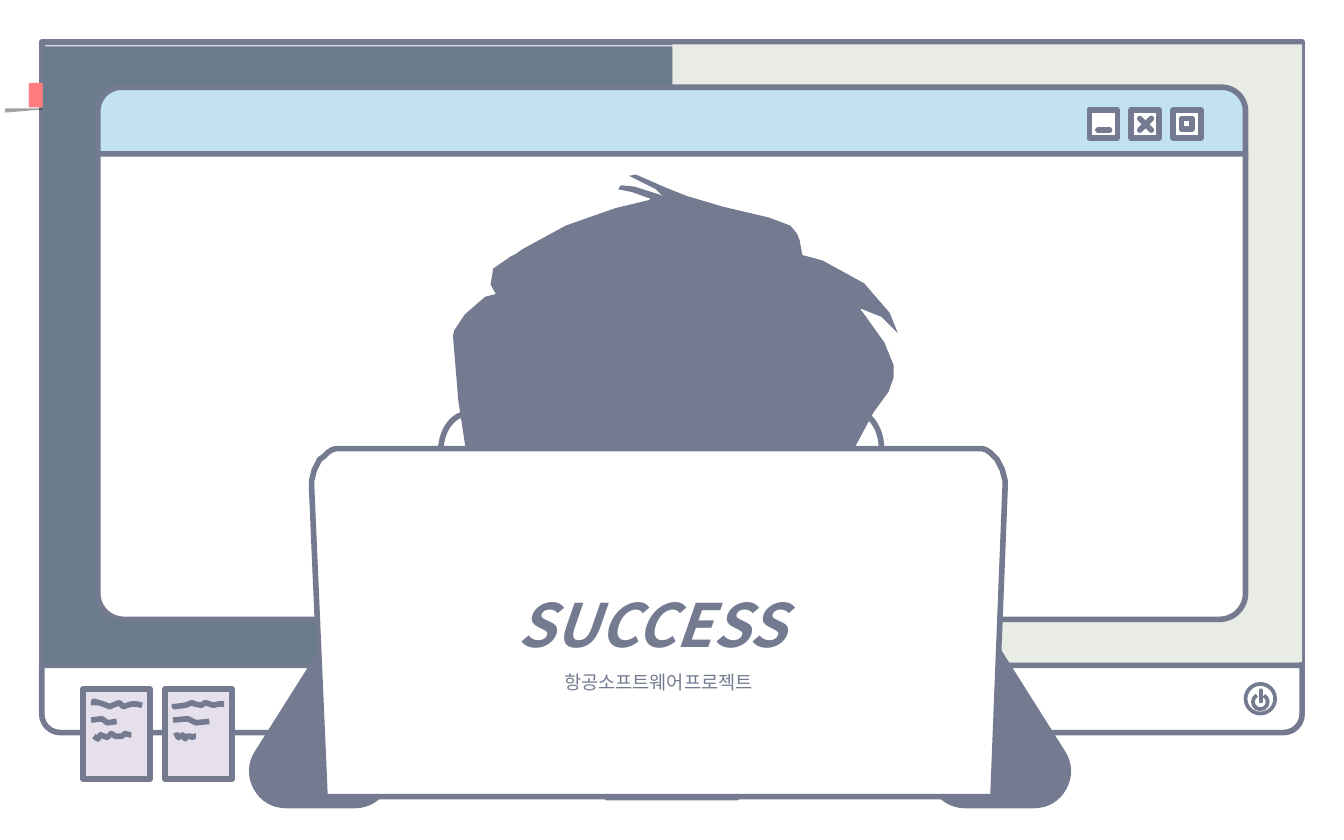
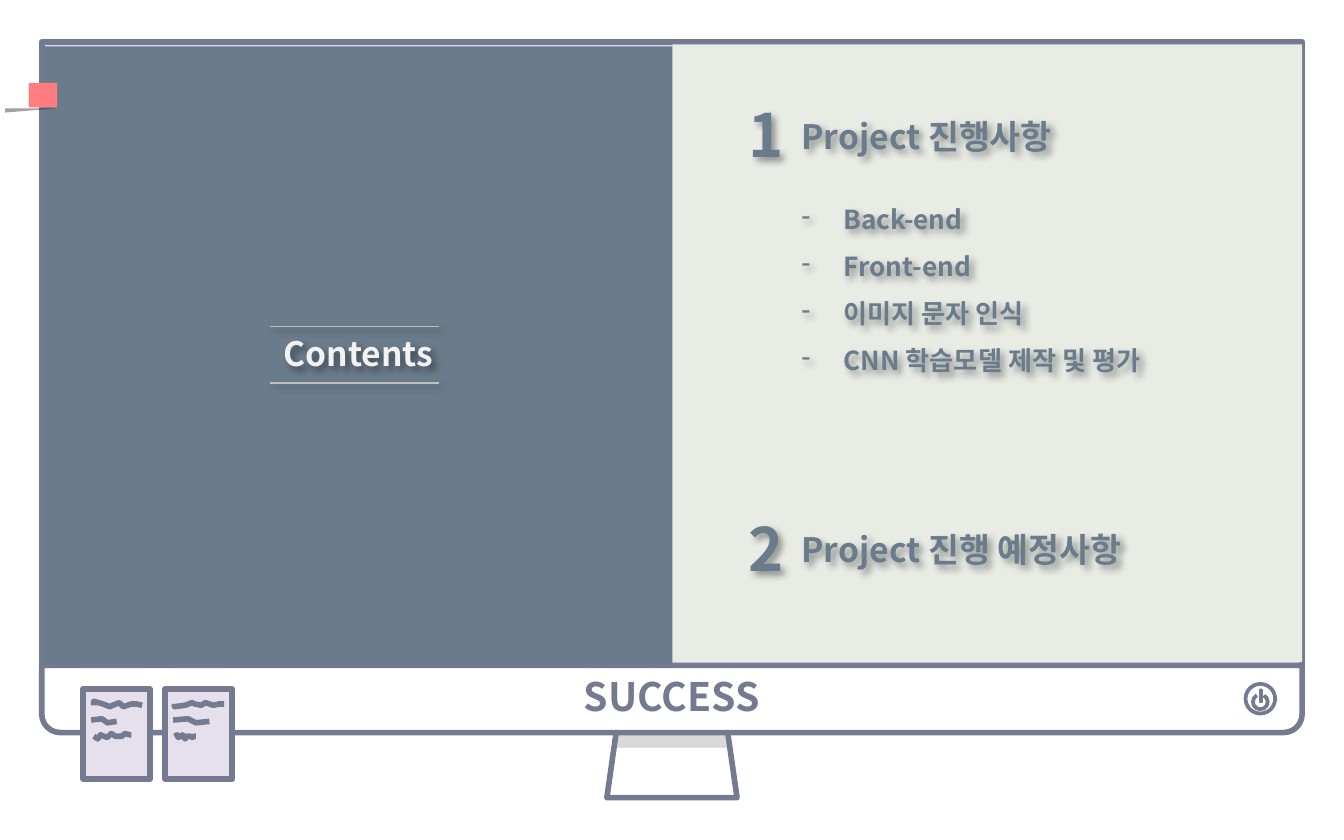
from lxml import etree
from pptx import Presentation
from pptx.dml.color import RGBColor
from pptx.enum import shapes, text
from pptx.oxml import ns
from pptx.util import Cm, Pt

FONT = "Noto Sans CJK KR"
C = {"ink": "747A90", "slate": "6A7B8B", "sage": "E8ECE5", "screen": "DADCE8",
     "white": "FFFFFF", "sky": "C2E1F3", "memo": "E6E0EC", "tab": "FF7C80",
     "grey": "D9D9D9", "rule": "BFBFBF", "pale": "F2F2F2", "black": "000000"}
SHAPE = shapes.MSO_SHAPE
UNIT = Cm(0.0254)

WAVES = [
    [[(8, 12), (8, 9), (15, 11), (20, 13), (22, 12), (27, 10), (30, 13), (36, 11), (40, 11), (44, 12)],
     [(6, 23), (14, 22), (18, 25), (25, 24)],
     [(8, 35), (11, 37), (13, 34), (18, 36), (21, 33), (24, 35), (29, 35), (31, 33), (35, 34), (36, 34)]],
    [[(7, 11), (7, 13), (15, 12), (20, 10), (22, 11), (27, 12), (30, 10), (36, 12), (40, 11), (44, 11)],
     [(6, 23), (17, 22), (23, 25), (33, 24)],
     [(7, 35), (9, 34), (10, 36), (13, 34), (15, 37), (16, 35), (19, 35), (20, 36), (22, 35), (23, 35)]],
]
HAIR = [
    (28, 271), (24, 266), (16, 245), (10, 209), (9, 201), (4, 168), (0, 120), (1, 116), (9, 104),
    (24, 91), (32, 89), (28, 82), (30, 70), (43, 61), (47, 59), (51, 56), (84, 38), (121, 25),
    (146, 19), (147, 18), (133, 13), (123, 11), (125, 8), (135, 9), (154, 15), (157, 17), (151, 11),
    (131, 1), (136, 0), (159, 10), (174, 16), (201, 24), (235, 32), (251, 38), (256, 44), (258, 49),
    (260, 60), (264, 61), (275, 64), (306, 81), (325, 103), (331, 118), (319, 106), (304, 100),
    (303, 100), (306, 104), (321, 125), (328, 142), (328, 151), (324, 162), (313, 177), (297, 207),
    (290, 230), (288, 244), (283, 266), (278, 275), (276, 277), (273, 274), (270, 242), (270, 177),
    (271, 158), (270, 154), (257, 147), (231, 137), (211, 151), (196, 141), (181, 135), (159, 133),
    (123, 136), (85, 146), (57, 144), (33, 192), (33, 247), (31, 268)]
FACE = [(1, 99), (25, 229), (65, 244), (174, 244), (264, 233), (281, 157), (283, 123),
        (290, 99), (255, 35), (201, 4), (110, 2), (38, 28), (10, 51), (3, 102)]


def rgb(name):
    return RGBColor.from_string(C[name])


def add_shadow(sp):
    spPr = sp._element.spPr
    effects = spPr.find(ns.qn("a:effectLst"))
    if effects is None:
        effects = etree.SubElement(spPr, ns.qn("a:effectLst"))
    outer = etree.SubElement(effects, ns.qn("a:outerShdw"), blurRad=str(Pt(4)),
                             dist=str(Pt(3)), dir="2700000", algn="tl", rotWithShape="0")
    color = etree.SubElement(outer, ns.qn("a:srgbClr"), val=C["black"])
    etree.SubElement(color, ns.qn("a:alpha"), val="40000")


def paint(sp, fill=None, line=None, width=3):
    if fill:
        sp.fill.solid()
        sp.fill.fore_color.rgb = rgb(fill)
    else:
        sp.fill.background()
    if line:
        sp.line.color.rgb = rgb(line)
        sp.line.width = Pt(width)
    else:
        sp.line.fill.background()
    sp.shadow.inherit = False
    return sp


def draw(s, kind, x, y, w, h, fill=None, line=None, width=3, adj=(), flip=None):
    sp = s.shapes.add_shape(kind, Cm(x), Cm(y), Cm(w), Cm(h))
    for i, value in enumerate(adj):
        sp.adjustments[i] = value
    if flip:
        sp._element.spPr.xfrm.set(flip, "1")
    return paint(sp, fill, line, width)


def outline(s, x, y, points, fill=None, line=None, closed=True):
    builder = s.shapes.build_freeform(*points[0], scale=UNIT)
    builder.add_line_segments(points[1:], close=closed)
    return paint(builder.convert_to_shape(Cm(x), Cm(y)), fill, line)


def segment(s, x1, y1, x2, y2, color="ink", width=3, cap="rnd"):
    sp = s.shapes.add_connector(shapes.MSO_CONNECTOR.STRAIGHT, Cm(x1), Cm(y1), Cm(x2), Cm(y2))
    sp.line.color.rgb = rgb(color)
    sp.line.width = Pt(width)
    sp.line._get_or_add_ln().set("cap", cap)
    etree.SubElement(sp._element.spPr, ns.qn("a:effectLst"))
    return sp


def style(p, size, color, bold=True, italic=False):
    for r in p.runs:
        r.font.name, r.font.size = FONT, Pt(size)
        r.font.bold, r.font.italic = bold, italic
        r.font.color.rgb = rgb(color)
        ea = etree.Element(ns.qn("a:ea"), typeface=FONT)
        r._r.rPr.find(ns.qn("a:latin")).addnext(ea)


def label(s, x, y, w, h, words, size, color):
    sp = s.shapes.add_textbox(Cm(x), Cm(y), Cm(w), Cm(h))
    tf = sp.text_frame
    tf.word_wrap = True
    tf.text = words
    style(tf.paragraphs[0], size, color)
    add_shadow(sp)
    return tf


def curve(a, b, c, d, steps=10):
    def at(t, i):
        u = 1 - t
        return u**3 * a[i] + 3 * u * u * t * b[i] + 3 * u * t * t * c[i] + t**3 * d[i]
    return [(at(k / steps, 0), at(k / steps, 1)) for k in range(steps + 1)]


def monitor(s, x, y, w, h, caption=None):
    bar_h = 1.27
    screen_h = h - bar_h
    stand = draw(s, SHAPE.TRAPEZOID, x + w / 2 - 1.23, y + h - 0.5, 2.46, 1.73,
                 "white", "ink", adj=(0.143,))
    stand.fill.gradient()
    stand.fill.gradient_angle = 90
    for stop, pos, color in zip(stand.fill.gradient_stops, (0.54, 0.55), ("white", "grey")):
        stop.position = pos
        stop.color.rgb = rgb(color)
    draw(s, SHAPE.ROUND_2_SAME_RECTANGLE, x, y, w, screen_h, "screen", "ink", adj=(0, 0))
    bar = draw(s, SHAPE.ROUND_2_SAME_RECTANGLE, x, y + screen_h, w, bar_h,
               "white", "ink", adj=(0, 0.276))
    if caption:
        tf = bar.text_frame
        tf.text = caption
        tf.vertical_anchor = text.MSO_ANCHOR.MIDDLE
        tf.paragraphs[0].alignment = text.PP_ALIGN.CENTER
        style(tf.paragraphs[0], 21, "ink")
    px, py = x + w - 1.07, y + screen_h + 0.35
    draw(s, SHAPE.OVAL, px, py, 0.56, 0.56, "white", "ink", 2)
    draw(s, SHAPE.ARC, px + 0.14, py + 0.2, 0.28, 0.28, None, "ink", 2, adj=(179.588, 145.299))
    segment(s, px + 0.29, py + 0.12, px + 0.29, py + 0.33, width=2)


def panels(s, x, y, w, h):
    draw(s, SHAPE.RECTANGLE, x + w / 2, y, w / 2, h, "sage")
    draw(s, SHAPE.RECTANGLE, x, y + 0.04, w / 2, h, "slate")


def memos(s, x, y, step):
    for i, waves in enumerate(WAVES):
        left = x + i * step
        draw(s, SHAPE.RECTANGLE, left, y, 1.27, 1.7, "memo", "ink")
        for wave in waves:
            outline(s, left, y, wave, line="ink", closed=False)


def bookmark(s, x, y, w, h):
    draw(s, SHAPE.RECTANGLE, x + w, y, w, h, "tab")
    draw(s, SHAPE.RECTANGLE, x, y, w, h, "white")
    fold = draw(s, SHAPE.RIGHT_TRIANGLE, x + 0.1, y + h + 0.02, 0.97, 0.08, "black", flip="flipV")
    color = fold._element.spPr.find(".//" + ns.qn("a:srgbClr"))
    etree.SubElement(color, ns.qn("a:alpha"), val="37000")


def browser(s, x, y, w, h):
    title_h = 1.26
    draw(s, SHAPE.ROUND_2_SAME_RECTANGLE, x, y, w, title_h, "sky", "ink", adj=(0.356, 0))
    draw(s, SHAPE.ROUND_2_SAME_RECTANGLE, x, y + title_h, w, h - title_h,
         "white", "ink", adj=(0, 0.056))
    size, step, top = 0.53, 0.79, y + 0.43
    first = x + w - 2.95
    lefts = [first + i * step for i in range(3)]
    for left in lefts:
        draw(s, SHAPE.RECTANGLE, left, top, size, size, "white", "ink")
    low, high = 0.16, 0.38
    segment(s, lefts[0] + low, top + high, lefts[0] + high, top + high)
    segment(s, lefts[1] + low, top + low, lefts[1] + high, top + high)
    segment(s, lefts[1] + low, top + high, lefts[1] + high, top + low)
    draw(s, SHAPE.RECTANGLE, lefts[2] + low, top + low, 0.2, 0.2, "white", "ink")


def person(s, x, y):
    for dx, dy in ((2.92, 4.52), (10.21, 4.47)):
        draw(s, SHAPE.OVAL, x + dx, y + dy, 1.04, 1.42, "white", "ink")
    outline(s, x + 3.15, y, HAIR, "ink")
    outline(s, x + 3.35, y + 2.29, FACE, "ink")
    for dx, flip in ((12.83, None), (0, "flipH")):
        draw(s, SHAPE.RIGHT_TRIANGLE, x + dx, y + 9.22, 1.3, 2.06, "ink", "ink", 39.75, flip=flip)


def laptop(s, x, y, title, subtitle):
    lid = (curve((22, 0), (10, 0), (0, 13), (0, 29)) + [(10, 259), (507, 259)]
           + curve((516, 29), (516, 13), (507, 0), (495, 0)))
    tf = outline(s, x, y, lid, "white", "ink").text_frame
    tf.text = title + "\n" + subtitle
    tf.vertical_anchor = text.MSO_ANCHOR.MIDDLE
    for p in tf.paragraphs:
        p.alignment = text.PP_ALIGN.CENTER
        p.line_spacing = 1.5
    style(tf.paragraphs[0], 32, "ink", italic=True)
    style(tf.paragraphs[1], 10, "ink", bold=False)


def heading(s, x, y, w, h, words):
    label(s, x, y, w + 0.22, h, words, 18, "pale")
    for top in (y, y + 1.07):
        add_shadow(segment(s, x, top, x + w, top, "rule", 0.75, "flat"))


def topic(s, x, y, w, number, title, items=()):
    label(s, x, y, 2.01, 1.63, number, 32, "slate")
    tf = label(s, x + 1.01, y + 0.33, w - 1.01, 5.13 if items else 1.02, title, 18, "slate")
    for i, item in enumerate(items):
        p = tf.add_paragraph()
        p.text = item
        p.line_spacing = 1.5
        p.space_before = Pt(0 if i else 17)
        pPr = p._p.get_or_add_pPr()
        pPr.set("marL", str(Cm(0.79)))
        pPr.set("indent", str(-Cm(0.79)))
        etree.SubElement(pPr, ns.qn("a:buFontTx"))
        etree.SubElement(pPr, ns.qn("a:buChar"), char="-")
        style(p, 14, "slate")


def cover(s):
    monitor(s, *MONITOR)
    memos(s, *MEMOS)
    bookmark(s, *BOOKMARK)
    panels(s, *PANELS)
    browser(s, 1.85, 1.65, 21.69, 10.06)
    person(s, 5.41, 3.3)
    laptop(s, 5.89, 8.48, "SUCCESS ", "항공소프트웨어프로젝트")


def contents(s):
    monitor(s, *MONITOR, caption="SUCCESS")
    panels(s, *PANELS)
    bookmark(s, *BOOKMARK)
    memos(s, *MEMOS)
    heading(s, 5.11, 6.17, 3.18, 1.02, "Contents")
    topic(s, 13.89, 1.73, 8.2, "1", "Project 진행사항",
          ("Back-end", "Front-end", "이미지 문자 인식", "CNN 학습모델 제작 및 평가"))
    topic(s, 13.89, 9.55, 8.2, "2", "Project 진행 예정사항")


MONITOR = (0.79, 0.79, 23.82, 13.06)
PANELS = (0.81, 0.84, 23.8, 11.68)
MEMOS = (1.57, 13.03, 1.55)
BOOKMARK = (0, 1.57, 0.54, 0.46)

prs = Presentation()
prs.slide_width, prs.slide_height = Cm(25.4), Cm(15.88)
for build in (cover, contents):
    build(prs.slides.add_slide(prs.slide_layouts[6]))
prs.save("out.pptx")
